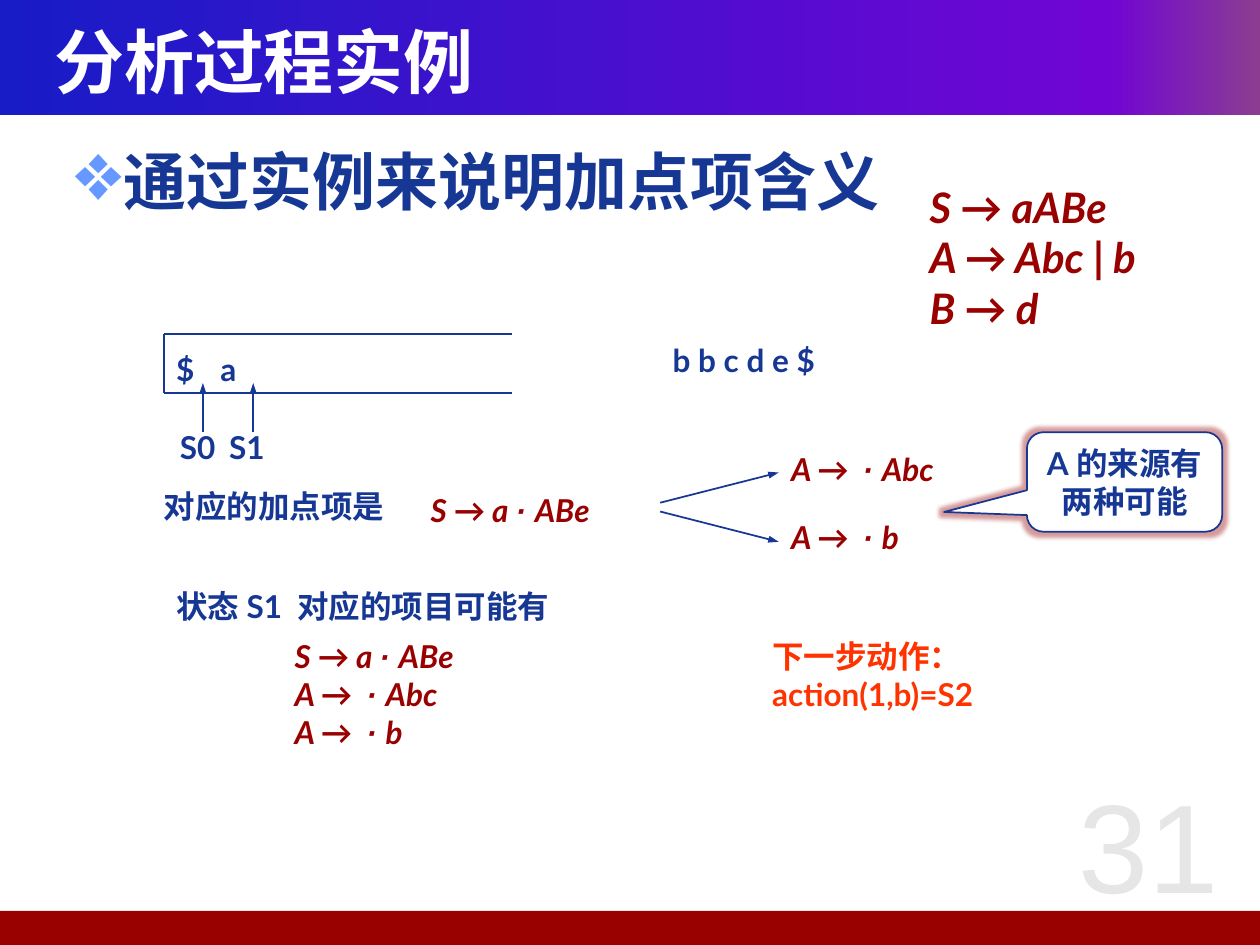
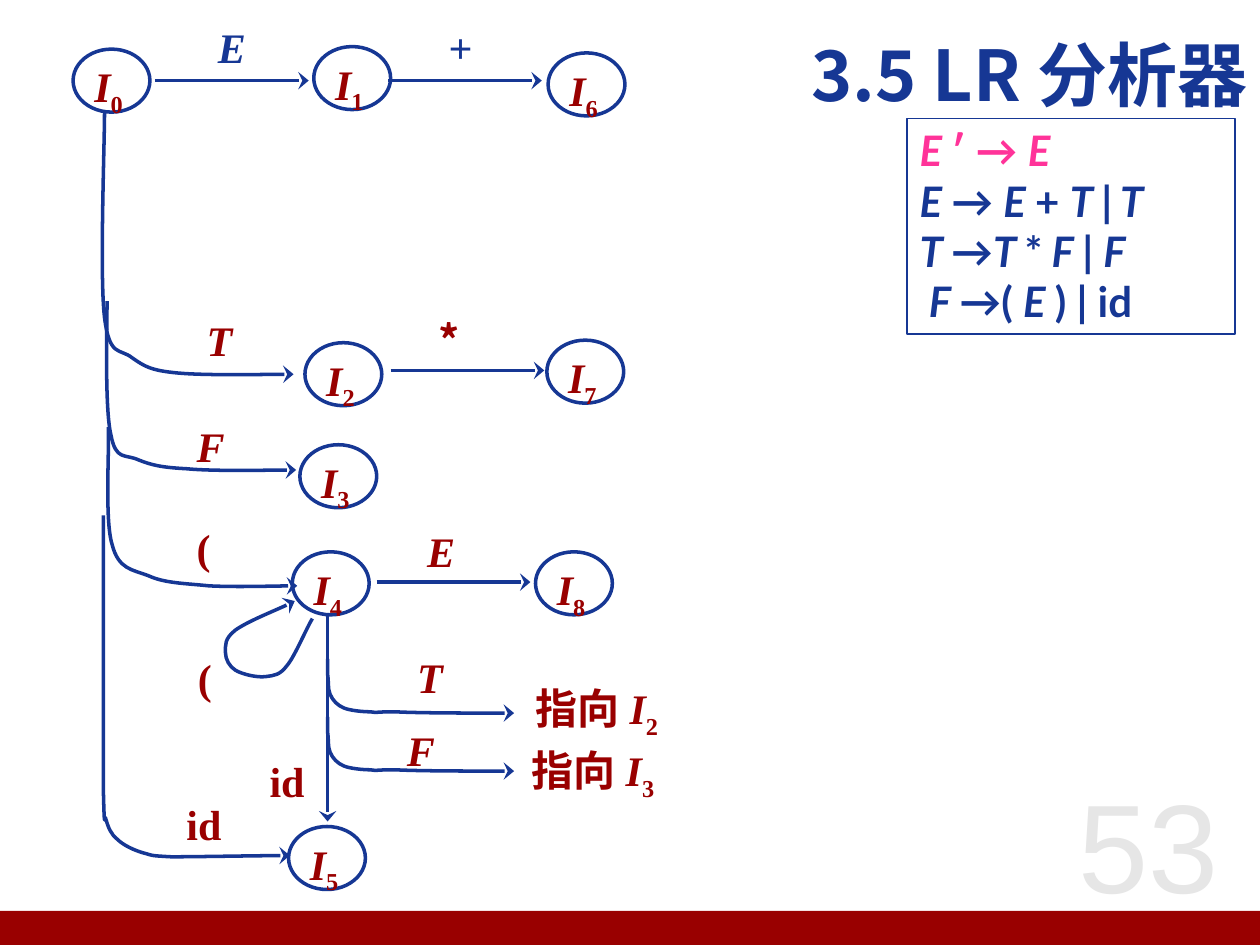
from copy import deepcopy

from lxml.etree import SubElement
from pptx import Presentation
from pptx.dml.color import RGBColor
from pptx.enum.shapes import MSO_CONNECTOR, MSO_SHAPE
from pptx.enum.text import MSO_ANCHOR, MSO_AUTO_SIZE, PP_ALIGN
from pptx.oxml.ns import qn
from pptx.util import Inches, Pt

BLUE, RED, WHITE = "163794", "990000", "FFFFFF"
PINK, ORANGE, GREY, SKY = "FF3399", "FF3300", "E6E6E6", "6699FF"
BAND = [(0, "181CC7"), (88, "7005D4"), (100, "8C3D91")]
HAN, LATIN, SERIF, SANS = "Noto Sans CJK SC", "Lato", "Times New Roman", "Arial"
FULL = (0.1, 0.05, 0.1, 0.05)
TIGHT = (0.06, 0.03, 0.06, 0.03)
NODE = (0.08, 0.02, 0.02, 0.05)
HEADS = {"triangle": "sm", "stealth": "lg"}
START, LONG, SHORT = "~S → a /~· /~ABe", "~A →  /~· /~Abc", "~A →  /~· /~b"


def color(code):
    """Turn a hex string into a colour."""
    return RGBColor.from_string(code)


def box(x, y, w, h):
    """Turn four lengths in inches into a box."""
    return [Inches(v) for v in (x, y, w, h)]


def paint(shape, code):
    """Fill a shape with one colour."""
    shape.fill.solid()
    shape.fill.fore_color.rgb = color(code)


def style(font, size, ink, name, bold=True):
    """Format the font of a paragraph, Chinese glyphs included."""
    font.size, font.bold, font.name = Pt(size), bold, name
    font.color.rgb = color(ink)
    SubElement(font._element, qn("a:ea"), typeface=HAN)


def fill_line(para, text):
    """Split text at slashes into runs: ~ is italic, _ is subscript."""
    parts = text.split("/")
    slant = all(part.startswith("~") for part in parts)
    if slant:
        para.font.italic = True
    for part in parts:
        run = para.add_run()
        run.text = part.lstrip("~_")
        if part.startswith("~") and not slant:
            run.font.italic = True
        if part.startswith("_"):
            run.font._element.set("baseline", "-25000")
        if run.text.startswith("·"):
            run.font.name = SANS


def write(frame, lines, size=18, ink=BLUE, name=LATIN, bold=True,
          align=PP_ALIGN.LEFT, inset=FULL, anchor=MSO_ANCHOR.TOP):
    """Fill a text frame with uniformly styled lines."""
    frame.word_wrap, frame.auto_size = True, MSO_AUTO_SIZE.NONE
    frame.vertical_anchor = anchor
    (frame.margin_left, frame.margin_top,
     frame.margin_right, frame.margin_bottom) = box(*inset)
    for num, text in enumerate(lines):
        para = frame.add_paragraph() if num else frame.paragraphs[0]
        para.alignment = align
        style(para.font, size, ink, name, bold)
        fill_line(para, text)


def label(slide, x, y, w, h, *lines, **look):
    """Add a text box."""
    shape = slide.shapes.add_textbox(*box(x, y, w, h))
    write(shape.text_frame, lines, **look)
    return shape


def stroke(shape, width=1, tail=None):
    """Draw the line of a shape without shadow, with an optional arrowhead."""
    shape.line.color.rgb, shape.line.width = color(BLUE), Pt(width)
    props = shape._element.spPr
    if tail:
        SubElement(props.find(qn("a:ln")), qn("a:tailEnd"), type=tail,
                   w=HEADS[tail], len="med")
    return SubElement(props, qn("a:effectLst"))


def line(slide, x1, y1, x2, y2, width=1, tail=None):
    """Add a straight line or arrow."""
    link = slide.shapes.add_connector(MSO_CONNECTOR.STRAIGHT, *box(x1, y1, x2, y2))
    stroke(link, width, tail)


def curve(slide, x, y, points):
    """Add an arrow along chained cubic curves, shifted by x and y."""
    spots = [(Inches(x + left), Inches(y + top)) for left, top in points]
    pen = slide.shapes.build_freeform(*spots[0])
    pen.add_line_segments(spots[1:], close=False)
    shape = pen.convert_to_shape()
    trail = shape._element.spPr.find(".//" + qn("a:path"))
    steps = trail.findall(qn("a:lnTo"))
    for at in range(0, len(steps), 3):
        bend = SubElement(trail, qn("a:cubicBezTo"))
        for step in steps[at:at + 3]:
            bend.append(step[0])
            trail.remove(step)
    shape.fill.background()
    stroke(shape, 2, "stealth")


def band(slide, mark, x, y, w, h):
    """Add a plain red band to the layout behind a slide."""
    shape = slide.shapes.add_shape(MSO_SHAPE.RECTANGLE, *box(x, y, w, h))
    shape.shadow.inherit = False
    shape.line.fill.background()
    paint(shape, RED)
    shape._element.nvSpPr.cNvPr.set("id", str(mark))
    slide.slide_layout.shapes._spTree.insert(2, shape._element)
    return shape


def blend(shape):
    """Give a band the colour run of the header."""
    shape.fill.gradient()
    shape.fill.gradient_angle = 0
    stops = shape._element.spPr.find(".//" + qn("a:gsLst"))
    stops.append(deepcopy(stops[0]))
    for stop, (place, code) in zip(shape.fill.gradient_stops, BAND):
        stop.position, stop.color.rgb = place / 100, color(code)


def page(deck, title, area, number, ink, align):
    """Start a slide with title and page number."""
    slide = deck.slides.add_slide(deck.slide_layouts[5])
    head = slide.shapes.title
    head.left, head.top, head.width, head.height = box(*area)
    write(head.text_frame, [title], 40, ink, HAN, align=align,
          anchor=MSO_ANCHOR.MIDDLE)
    label(slide, 8.23, 5.98, 1.77, 1.42, number, size=72, ink=GREY, name=SANS,
          bold=False, align=PP_ALIGN.CENTER, anchor=MSO_ANCHOR.MIDDLE)
    return slide


def topic(slide, x, y, w, h, text):
    """Add the bulleted heading."""
    shape = slide.shapes.add_textbox(*box(x, y, w, h))
    para = shape.text_frame.paragraphs[0]
    props = para._p.get_or_add_pPr()
    props.set("marL", str(Inches(0.38)))
    props.set("indent", str(-Inches(0.38)))
    tint = SubElement(props, qn("a:buClr"))
    SubElement(tint, qn("a:srgbClr"), val=SKY)
    SubElement(props, qn("a:buSzPct"), val="130000")
    SubElement(props, qn("a:buChar"), char="❖")
    write(shape.text_frame, [text], 36, name=HAN)


def stack(slide, x, y, w, h):
    """Draw the open stack, its symbols and its states."""
    line(slide, x, y, x + w, y)
    line(slide, x, y + h, x + w, y + h)
    line(slide, x, y, x, y + h)
    for sign, left in (("$", 0), ("a", 0.35)):
        label(slide, x + left, y + 0.08, 0.36, 0.4, sign)
    for state, left, mid in (("S0", 0.03, 0.31), ("S1", 0.42, 0.71)):
        label(slide, x + left, y + 0.7, 0.52, 0.4, state)
        line(slide, x + mid, y + 0.78, x + mid, y + 0.39, tail="triangle")


def choice(slide, x, y):
    """Draw the fork to the two dotted items."""
    for text, start, end, top in ((LONG, 0.24, 0, -0.23), (SHORT, 0.31, 0.55, 0.31)):
        line(slide, x, y + start, x + 0.94, y + end, tail="triangle")
        label(slide, x + 0.94, y + top, 1.6, 0.4, text, ink=RED)


def callout(slide, x, y, w, h, text):
    """Add the glowing speech bubble."""
    shape = slide.shapes.add_shape(MSO_SHAPE.ROUNDED_RECTANGULAR_CALLOUT,
                                   *box(x, y, w, h))
    for num, value in enumerate((-0.924, 0.302, 0.167)):
        shape.adjustments[num] = value
    paint(shape, WHITE)
    glow = SubElement(stroke(shape), qn("a:glow"), rad=str(Pt(5)))
    tint = SubElement(glow, qn("a:srgbClr"), val=RED)
    SubElement(tint, qn("a:alpha"), val="40000")
    write(shape.text_frame, [text], align=PP_ALIGN.CENTER, anchor=MSO_ANCHOR.MIDDLE)


def rules(slide, x, y, w, h):
    """Add the framed grammar."""
    lines = ["~E /′ → /~E", "~E /→ /~E /+ /~T /|/~ T",
             "~T /→/~T /*/~ F /| /~F", "~ F /→( /~E /) | id"]
    shape = label(slide, x, y, w, h, *lines, size=24)
    shape.text_frame.paragraphs[0].font.color.rgb = color(PINK)
    stroke(shape)


def nodes(slide, x, y):
    """Draw the numbered states."""
    spots = [(0.08, 0.39), (1.99, 0.37), (1.92, 2.72), (1.88, 3.53), (1.82, 4.38),
             (1.79, 6.56), (3.85, 0.42), (3.84, 2.7), (3.75, 4.38)]
    for num, (left, top) in enumerate(spots):
        shape = slide.shapes.add_shape(MSO_SHAPE.OVAL,
                                       *box(x + left, y + top, 0.61, 0.5))
        shape.fill.background()
        stroke(shape, 2)
        write(shape.text_frame, [f"~I/_{num}"], 24, RED, SERIF, inset=NODE)


def edges(slide, x, y):
    """Draw the straight and curved moves between states."""
    for left, top in ((0.73, 0.64), (2.58, 0.64), (2.6, 2.94), (2.49, 4.62)):
        line(slide, x + left, y + top, x + left + 1.22, y + top, 2, "stealth")
    line(slide, x + 2.1, y + 4.89, x + 2.1, y + 6.52, 2, "stealth")
    fork = [(2.1, 5.23), (2.1, 5.25), (2.1, 5.31), (2.1, 5.35), (2.11, 5.4),
            (2.1, 5.47), (2.12, 5.51), (2.14, 5.56), (2.18, 5.6), (2.23, 5.62),
            (2.28, 5.64), (2.38, 5.65), (2.44, 5.65), (2.51, 5.66), (2.45, 5.65),
            (2.64, 5.65), (2.82, 5.66), (3.38, 5.66), (3.58, 5.66)]
    for drop in (0, 0.46):
        curve(slide, x, y + drop, fork)
    to_two = [(0.33, 0.89), (0.33, 1.16), (0.29, 2.19), (0.33, 2.52), (0.37, 2.84),
              (0.45, 2.76), (0.55, 2.84), (0.65, 2.91), (0.7, 2.94), (0.91, 2.96),
              (1.13, 2.98), (1.64, 2.97), (1.83, 2.97)]
    to_three = [(0.35, 2.39), (0.35, 2.57), (0.33, 3.24), (0.38, 3.45), (0.42, 3.66),
                (0.49, 3.6), (0.6, 3.65), (0.7, 3.69), (0.78, 3.71), (0.98, 3.72),
                (1.19, 3.74), (1.67, 3.73), (1.85, 3.73)]
    to_four = [(0.36, 3.39), (0.37, 3.55), (0.33, 4.13), (0.39, 4.32), (0.44, 4.52),
               (0.55, 4.52), (0.68, 4.57), (0.81, 4.63), (0.97, 4.63), (1.16, 4.65),
               (1.36, 4.66), (1.72, 4.65), (1.86, 4.65)]
    to_five = [(0.32, 4.09), (0.32, 4.45), (0.32, 5.86), (0.32, 6.26), (0.33, 6.66),
               (0.33, 6.44), (0.34, 6.5), (0.36, 6.57), (0.38, 6.62), (0.43, 6.66),
               (0.48, 6.71), (0.57, 6.75), (0.64, 6.77), (0.72, 6.79), (0.67, 6.79),
               (0.86, 6.8), (1.05, 6.8), (1.6, 6.79), (1.8, 6.79)]
    loop = [(1.98, 4.91), (1.94, 4.97), (1.84, 5.21), (1.78, 5.28), (1.72, 5.36),
            (1.68, 5.36), (1.61, 5.37), (1.54, 5.38), (1.42, 5.35), (1.37, 5.32),
            (1.32, 5.29), (1.29, 5.23), (1.29, 5.18), (1.29, 5.12), (1.28, 5.07),
            (1.37, 5), (1.47, 4.93), (1.75, 4.82), (1.84, 4.77)]
    for points in (to_two, to_three, to_four, to_five, loop):
        curve(slide, x, y, points)


def marks(slide, x, y):
    """Label the moves with their symbols."""
    for text, left, top, ink in (
            ("~E", 1.17, 0.14, BLUE), ("+", 3, 0.14, BLUE), ("~T", 1.08, 2.47, RED),
            ("~F", 1, 3.31, RED), ("(", 1, 4.12, RED), ("~E", 2.83, 4.14, RED),
            ("(", 1.01, 5.15, RED), ("~T", 2.75, 5.14, RED), ("~F", 2.67, 5.72, RED),
            ("id", 1.58, 5.97, RED), ("id", 0.92, 6.31, RED)):
        label(slide, x + left, y + top, 0.51, 0.4, text, size=24, ink=ink,
              name=SERIF, inset=TIGHT)
    label(slide, x + 2.92, y + 2.47, 0.51, 0.4, "*", size=24, ink=RED, name=HAN,
          inset=TIGHT)
    for num, left, top in ((2, 3.69, 5.39), (3, 3.66, 5.88)):
        label(slide, x + left, y + top, 1.19, 0.48, f"指向/~I/_{num}", size=24,
              ink=RED, name=SERIF, inset=TIGHT)


def sample(deck):
    """Build the worked example of the analysis."""
    slide = page(deck, "分析过程实例", (0.33, 0.17, 9.25, 0.62), "31", WHITE,
                 PP_ALIGN.LEFT)
    band(slide, 101, 0, 7.23, 10, 0.27)
    blend(band(slide, 102, 0, 0, 10, 0.91))
    topic(slide, 0.5, 1.08, 9, 5.74, "通过实例来说明加点项含义")
    label(slide, 7.28, 1.39, 2.2, 1.31, "~S → aABe", "~A → Abc /|/~ b", "~B → d",
          size=24, ink=RED)
    stack(slide, 1.3, 2.65, 2.76, 0.47)
    label(slide, 5.24, 2.66, 1.7, 0.4, "b b c d e $")
    label(slide, 1.2, 3.82, 1.96, 0.4, "对应的加点项是")
    label(slide, 3.32, 3.85, 1.77, 0.4, START, ink=RED)
    choice(slide, 5.24, 3.75)
    callout(slide, 8.15, 3.43, 1.55, 0.79, "A的来源有两种可能")
    label(slide, 1.3, 4.61, 3.47, 0.4, "状态S1 对应的项目可能有")
    label(slide, 2.24, 5.01, 1.62, 1, START, LONG, SHORT, ink=RED)
    label(slide, 6.03, 5.01, 2.14, 0.71, "下一步动作：", "action(1,b)=S2", ink=ORANGE)


def graph(deck):
    """Build the state graph of the parser."""
    slide = page(deck, "3.5 LR分析器", (0, 0, 10, 1.17), "53", BLUE, PP_ALIGN.RIGHT)
    paint(slide.shapes.title, WHITE)
    for part in (nodes, edges, marks):
        part(slide, 0.5, 0)
    rules(slide, 7.2, 0.94, 2.6, 1.71)


def main():
    """Build and save the deck."""
    deck = Presentation()
    deck.slide_width, deck.slide_height = Inches(10), Inches(7.5)
    sample(deck)
    graph(deck)
    deck.save("out.pptx")


if __name__ == "__main__":
    main()
